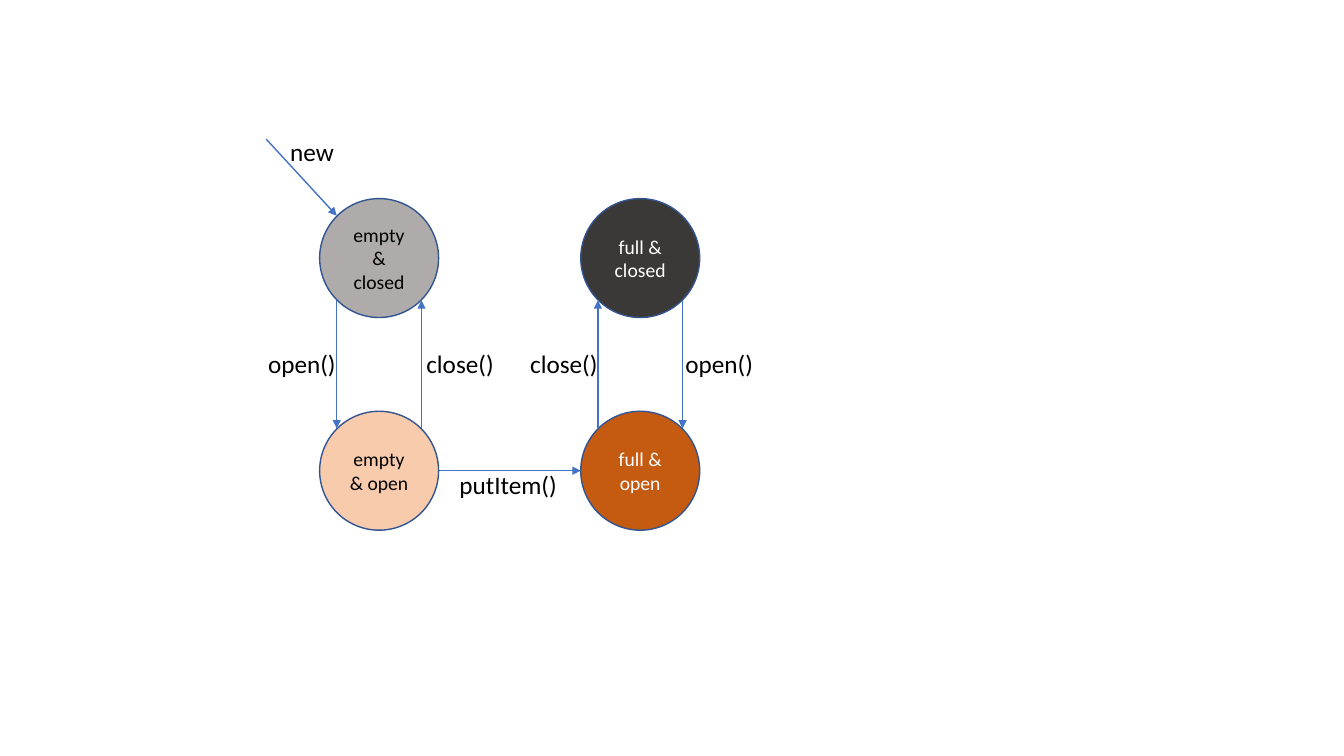
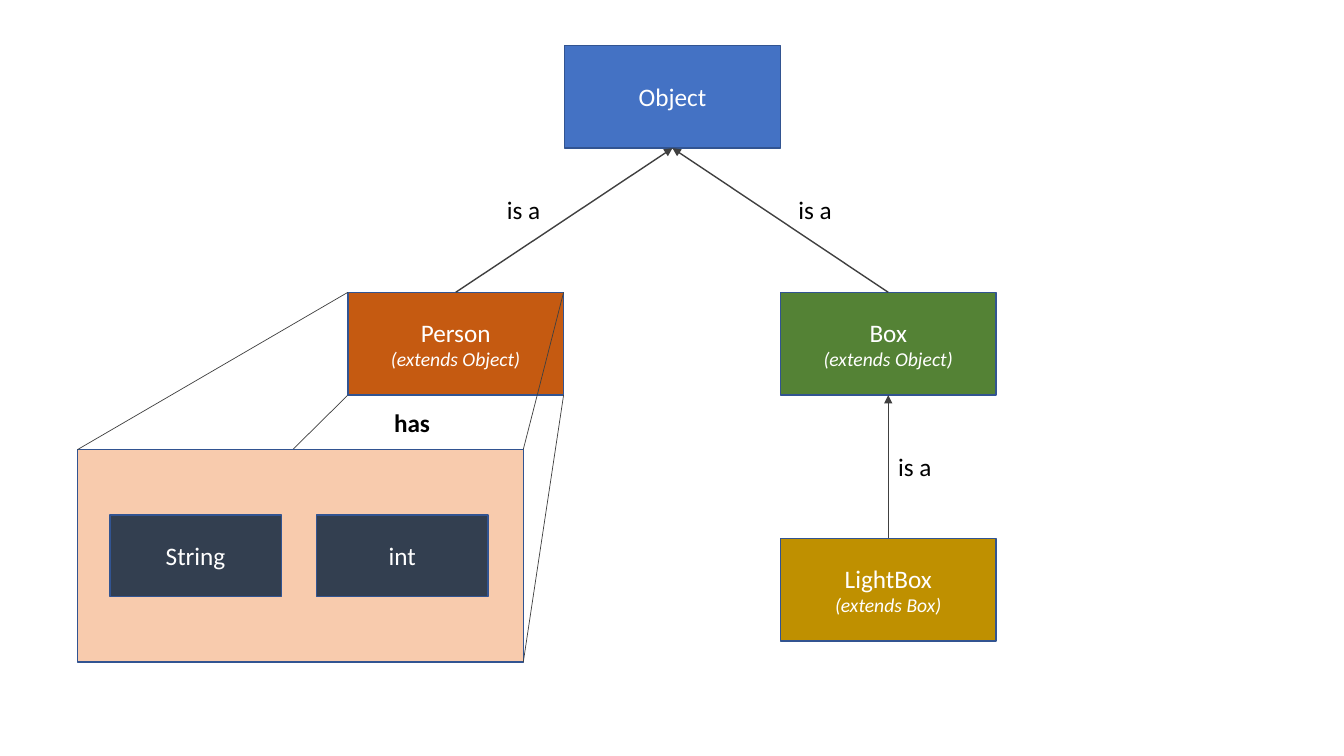
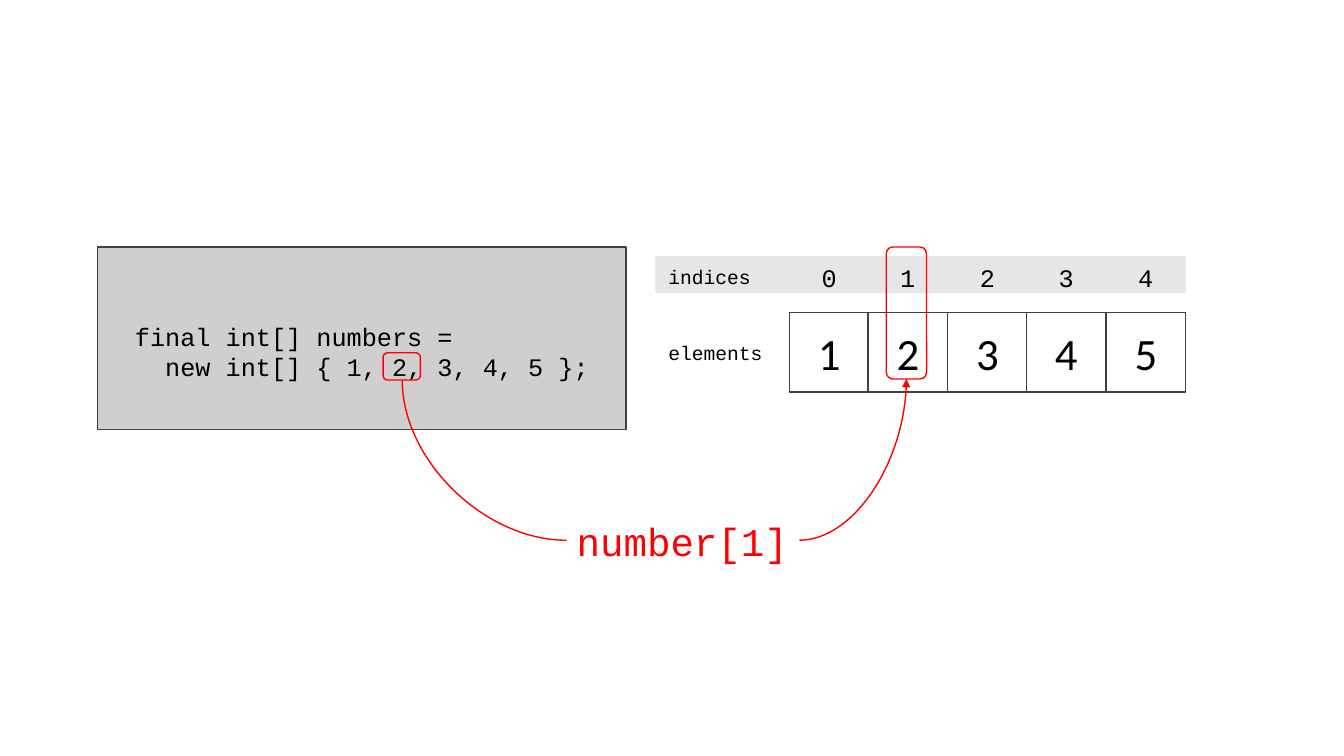
"""Build three programming diagrams: item box states, class hierarchy and array access."""
import dataclasses

import lxml.etree
import pptx
import pptx.dml.color
import pptx.enum.shapes
import pptx.enum.text
import pptx.oxml.ns
import pptx.util

PX = 9144
SLIDE_WIDTH, SLIDE_HEIGHT = 1333, 750
BLANK_LAYOUT = 6

BLACK = pptx.dml.color.RGBColor(0x00, 0x00, 0x00)
WHITE = pptx.dml.color.RGBColor(0xFF, 0xFF, 0xFF)
BLUE = pptx.dml.color.RGBColor(0x44, 0x72, 0xC4)
OUTLINE_BLUE = pptx.dml.color.RGBColor(0x32, 0x54, 0x91)
SLATE = pptx.dml.color.RGBColor(0x33, 0x3F, 0x50)
ORANGE = pptx.dml.color.RGBColor(0xC5, 0x5A, 0x11)
PEACH = pptx.dml.color.RGBColor(0xF8, 0xCB, 0xAD)
GREEN = pptx.dml.color.RGBColor(0x54, 0x82, 0x35)
GOLD = pptx.dml.color.RGBColor(0xBF, 0x90, 0x00)
RED = pptx.dml.color.RGBColor(0xFF, 0x00, 0x00)
CHARCOAL = pptx.dml.color.RGBColor(0x3B, 0x38, 0x38)
DARK_GRAY = pptx.dml.color.RGBColor(0x40, 0x40, 0x40)
GRAY = pptx.dml.color.RGBColor(0xAF, 0xAB, 0xAB)
CODE_GRAY = pptx.dml.color.RGBColor(0xD0, 0xCE, 0xCE)
BAND_GRAY = pptx.dml.color.RGBColor(0xE7, 0xE6, 0xE6)

RECTANGLE = pptx.enum.shapes.MSO_SHAPE.RECTANGLE
ROUNDED = pptx.enum.shapes.MSO_SHAPE.ROUNDED_RECTANGLE
OVAL = pptx.enum.shapes.MSO_SHAPE.OVAL
STRAIGHT = pptx.enum.shapes.MSO_CONNECTOR.STRAIGHT
CURVE = pptx.enum.shapes.MSO_CONNECTOR.CURVE
LEFT = pptx.enum.text.PP_ALIGN.LEFT
CENTER = pptx.enum.text.PP_ALIGN.CENTER
TOP_SITE, BOTTOM_SITE = 0, 2


@dataclasses.dataclass(frozen=True)
class TextStyle:
    """Font settings of one line of text."""
    size: int = 18
    color: pptx.dml.color.RGBColor = BLACK
    font: str = "Calibri"
    bold: bool = False
    italic: bool = False


LABEL = TextStyle()
BOLD_LABEL = TextStyle(bold=True)
STATE_DARK = TextStyle(14)
STATE_LIGHT = TextStyle(14, WHITE)
CLASS_NAME = TextStyle(color=WHITE)
CLASS_PARENT = TextStyle(14, WHITE, italic=True)
ELEMENT = TextStyle(32)
CODE = TextStyle(font="Courier New")
ROW_NAME = TextStyle(14, font="Courier New")
ACCESS = TextStyle(28, RED, "Courier New")


def emu(*lengths):
    """Turn lengths in px into EMU."""
    return [pptx.util.Emu(length * PX) for length in lengths]


def write_lines(frame, lines, align):
    """Write (text, style) pairs as the paragraphs of a text frame."""
    for number, (text, style) in enumerate(lines):
        paragraph = frame.add_paragraph() if number else frame.paragraphs[0]
        paragraph.alignment = align
        run = paragraph.add_run()
        run.text = text
        run.font.name = style.font
        run.font.size = pptx.util.Pt(style.size)
        run.font.color.rgb = style.color
        run.font.bold = style.bold
        run.font.italic = style.italic


def add_block(slide, kind, box, fill=None, line=None, lines=()):
    """Add a preset shape with optional fill, outline and centred lines."""
    block = slide.shapes.add_shape(kind, *emu(*box))
    block.shadow.inherit = False
    if fill is None:
        block.fill.background()
    else:
        block.fill.solid()
        block.fill.fore_color.rgb = fill
    if line is None:
        block.line.fill.background()
    else:
        block.line.color.rgb = line
        block.line.width = pptx.util.Pt(1)
    write_lines(block.text_frame, lines, CENTER)
    return block


def add_label(slide, box, lines, align=LEFT):
    """Add an unwrapped text box."""
    frame = slide.shapes.add_textbox(*emu(*box)).text_frame
    frame.word_wrap = False
    frame.auto_size = pptx.enum.text.MSO_AUTO_SIZE.SHAPE_TO_FIT_TEXT
    write_lines(frame, lines, align)


def add_line(slide, start, end, color, width=1, arrow=True, kind=STRAIGHT):
    """Add a connector, with an arrowhead at its end if wanted."""
    connector = slide.shapes.add_connector(kind, *emu(*start, *end))
    connector.line.color.rgb = color
    connector.line.width = pptx.util.Pt(width)
    properties = connector._element.spPr
    if arrow:
        outline = properties.find(pptx.oxml.ns.qn("a:ln"))
        lxml.etree.SubElement(outline, pptx.oxml.ns.qn("a:tailEnd"), type="triangle")
    if kind == CURVE:
        geometry = properties.find(pptx.oxml.ns.qn("a:prstGeom"))
        geometry.set("prst", "curvedConnector2")
    lxml.etree.SubElement(properties, pptx.oxml.ns.qn("a:effectLst"))
    return connector


def corners(box):
    """Return the top left, top right, bottom left and bottom right points."""
    left, top, width, height = box
    return [(x, y) for y in (top, top + height) for x in (left, left + width)]


def build_states(slide):
    """Draw the state machine of a box that opens, closes and fills."""
    diameter, inset = 118, 17
    empty_x, full_x = 317, 576
    closed_y, open_y = 197, 408
    for x, y, fill, text, style in (
        (empty_x, closed_y, GRAY, "empty & closed", STATE_DARK),
        (empty_x, open_y, PEACH, "empty & open", STATE_DARK),
        (full_x, open_y, ORANGE, "full & open", STATE_LIGHT),
        (full_x, closed_y, CHARCOAL, "full & closed", STATE_LIGHT),
    ):
        add_block(slide, OVAL, (x, y, diameter, diameter), fill, OUTLINE_BLUE, [(text, style)])

    upper, lower = closed_y + diameter - inset, open_y + inset
    for state_x, opening_x, closing_x in (
        (empty_x, inset, diameter - inset),
        (full_x, diameter - inset, inset),
    ):
        add_line(slide, (state_x + opening_x, upper), (state_x + opening_x, lower), BLUE)
        add_line(slide, (state_x + closing_x, lower), (state_x + closing_x, upper), BLUE)

    middle = open_y + diameter // 2
    add_line(slide, (empty_x + diameter, middle), (full_x, middle), BLUE)
    add_line(slide, (264, 138), (empty_x + inset, closed_y + inset), BLUE)

    for x, call in ((256, "open()"), (413, "close()"), (516, "close()"), (670, "open()")):
        add_label(slide, (x, 341, 88, 40), [(call, LABEL)])
    add_label(slide, (445, 461, 118, 40), [("putItem()", LABEL)], CENTER)
    add_label(slide, (278, 130, 64, 40), [("new", LABEL)])


def build_classes(slide):
    """Draw the inheritance tree and the fields of Person."""
    size = (214, 102)
    person_box = (345, 290, *size)
    fields_box = (77, 446, 442, 211)
    top_left, top_right, bottom_left, bottom_right = zip(corners(person_box), corners(fields_box))
    add_line(slide, *bottom_left, DARK_GRAY, 0.5, arrow=False)

    classes = {}
    for name, parent, box, fill in (
        ("Object", None, (560, 45, *size), BLUE),
        ("Person", "Object", person_box, ORANGE),
        ("Box", "Object", (774, 290, *size), GREEN),
        ("LightBox", "Box", (774, 534, *size), GOLD),
    ):
        lines = [(name, CLASS_NAME)]
        if parent:
            lines.append((f"(extends {parent})", CLASS_PARENT))
        classes[name] = add_block(slide, RECTANGLE, box, fill, OUTLINE_BLUE, lines)
        if parent:
            inheritance = add_line(slide, (0, 0), (0, 0), DARK_GRAY)
            inheritance.begin_connect(classes[name], TOP_SITE)
            inheritance.end_connect(classes[parent], BOTTOM_SITE)

    add_block(slide, RECTANGLE, fields_box, PEACH, OUTLINE_BLUE)
    for x, field in ((109, "String"), (314, "int")):
        add_block(slide, RECTANGLE, (x, 511, 170, 81), SLATE, OUTLINE_BLUE, [(field, CLASS_NAME)])
    for start, end in (top_left, bottom_right, top_right):
        add_line(slide, start, end, DARK_GRAY, 0.5, arrow=False)

    for x, y in ((493, 188), (782, 188), (881, 443)):
        add_label(slide, (x, y, 54, 40), [("is a", LABEL)])
    add_label(slide, (381, 399, 56, 40), [("has", BOLD_LABEL)])


def build_array(slide):
    """Draw an array literal beside its indices and elements."""
    add_block(slide, RECTANGLE, (650, 254, 526, 37), BAND_GRAY)
    add_block(slide, RECTANGLE, (97, 245, 524, 181), CODE_GRAY, DARK_GRAY)
    for index in range(5):
        cell_x = 783 + index * 157 // 2
        add_block(slide, RECTANGLE, (cell_x, 310, 79, 79), WHITE, DARK_GRAY,
                  [(str(index + 1), ELEMENT)])
        add_label(slide, (cell_x + 22, 255, 35, 40), [(str(index), CODE)])
    add_label(slide, (124, 314, 472, 71), [
        ("final int[] numbers =", CODE),
        ("  new int[] { 1, 2, 3, 4, 5 };", CODE),
    ])
    for y, name, width in ((258, "indices", 102), (333, "elements", 114)):
        add_label(slide, (653, y, width, 34), [(name, ROW_NAME)])

    for highlight in ((380, 350, 37, 27), (879, 245, 40, 131)):
        add_block(slide, ROUNDED, highlight, line=RED)
    add_label(slide, (562, 508, 232, 57), [("number[1]", ACCESS)])
    add_line(slide, (562, 536), (399, 377), RED, arrow=False, kind=CURVE)
    add_line(slide, (793, 536), (899, 376), RED, kind=CURVE)


def main():
    """Build the slides and save them."""
    deck = pptx.Presentation()
    deck.slide_width, deck.slide_height = emu(SLIDE_WIDTH, SLIDE_HEIGHT)
    for build in (build_states, build_classes, build_array):
        build(deck.slides.add_slide(deck.slide_layouts[BLANK_LAYOUT]))
    deck.save("out.pptx")


if __name__ == "__main__":
    main()
